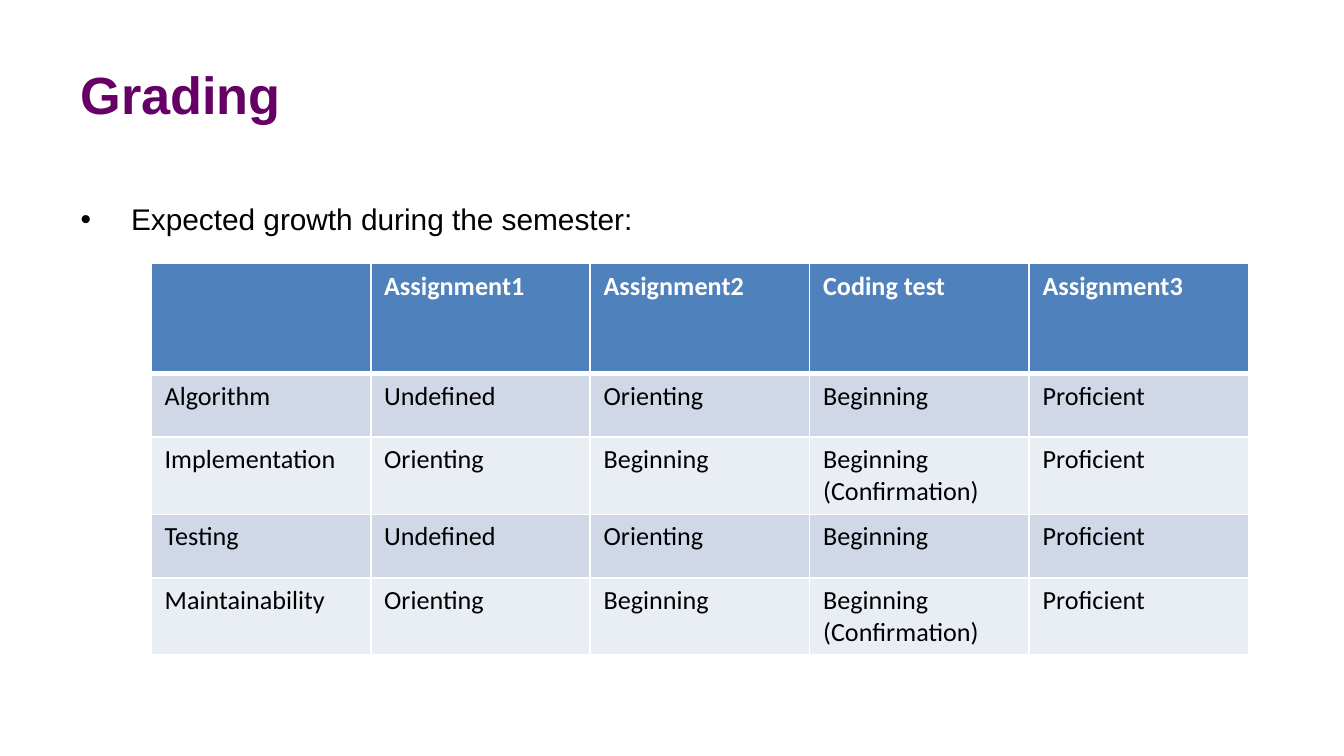
from lxml.etree import SubElement
from pptx import Presentation
from pptx.dml.color import RGBColor
from pptx.enum.text import MSO_ANCHOR, MSO_AUTO_SIZE, PP_ALIGN
from pptx.oxml.ns import qn
from pptx.util import Pt

COLORS = {
    "title": "660066",
    "text": "000000",
    "white": "FFFFFF",
    "header": "4F81BD",
    "odd": "D0D8E8",
    "even": "E9EDF4",
}
GRADES = [
    ["", "Assignment1", "Assignment2", "Coding test", "Assignment3"],
    ["Algorithm", "Undefined", "Orienting", "Beginning", "Proficient"],
    ["Implementation", "Orienting", "Beginning", "Beginning (Confirmation)", "Proficient"],
    ["Testing", "Undefined", "Orienting", "Beginning", "Proficient"],
    ["Maintainability", "Orienting", "Beginning", "Beginning (Confirmation)", "Proficient"],
]
HEADER_HEIGHT = 59


def place(placeholder, box):
    """Move a placeholder into a box of left, top, width and height."""
    placeholder.left, placeholder.top, placeholder.width, placeholder.height = map(Pt, box)
    placeholder.text_frame.auto_size = MSO_AUTO_SIZE.NONE


def style(paragraph, face, size, color, bold=False):
    """Set the font of a paragraph."""
    font = paragraph.font
    font.name, font.size, font.bold = face, Pt(size), bold
    font.color.rgb = RGBColor.from_string(COLORS[color])


def add_title(slide, box, wording):
    """Fill the title placeholder."""
    title = slide.shapes.title
    place(title, box)
    title.text_frame.text = wording
    title.text_frame.vertical_anchor = MSO_ANCHOR.MIDDLE
    heading = title.text_frame.paragraphs[0]
    heading.alignment = PP_ALIGN.LEFT
    style(heading, "Arial", 28, "title", True)


def add_body(slide, box, wording):
    """Fill the body placeholder with one bulleted line."""
    body = slide.placeholders[1]
    place(body, box)
    body.text_frame.text = wording
    bullet = body.text_frame.paragraphs[0]
    bullet.line_spacing = 1.5
    bullet.space_before = Pt(3.2)
    style(bullet, "Arial", 16, "text")


def add_borders(cell, top, bottom):
    """Draw white cell borders with the given top and bottom widths."""
    properties = cell._tc.get_or_add_tcPr()
    for side, width in (("L", 1), ("R", 1), ("T", top), ("B", bottom)):
        line = SubElement(properties, qn(f"a:ln{side}"), w=str(Pt(width)))
        fill = SubElement(line, qn("a:solidFill"))
        SubElement(fill, qn("a:srgbClr"), val=COLORS["white"])


def add_grades(slide, box, rows):
    """Add the table of expected levels with a taller header row."""
    left, top, width, height = box
    grades = slide.shapes.add_table(
        len(rows), len(rows[0]), Pt(left), Pt(top), Pt(width), Pt(height)
    ).table
    for column in grades.columns:
        column.width = Pt(width / len(rows[0]))
    row_height = (height - HEADER_HEIGHT) / (len(rows) - 1)
    for index, levels in enumerate(rows):
        is_header = index == 0
        grades.rows[index].height = Pt(HEADER_HEIGHT if is_header else row_height)
        band = "header" if is_header else "odd" if index % 2 else "even"
        for column, level in enumerate(levels):
            cell = grades.cell(index, column)
            add_borders(cell, 3 if index == 1 else 1, 3 if is_header else 1)
            cell.fill.solid()
            cell.fill.fore_color.rgb = RGBColor.from_string(COLORS[band])
            cell.text = level
            style(cell.text_frame.paragraphs[0], "Calibri", 14,
                  "white" if is_header else "text", is_header)


def main():
    """Build and save the grading slide."""
    presentation = Presentation()
    presentation.slide_width, presentation.slide_height = Pt(720), Pt(405)
    slide = presentation.slides.add_slide(presentation.slide_layouts[1])
    add_title(slide, (36, 16.5, 648, 67.5), "Grading")
    add_body(slide, (36, 94.5, 648, 265.5), "Expected growth during the semester:")
    add_grades(slide, (81, 141.25, 588, 195), GRADES)
    presentation.save("out.pptx")


if __name__ == "__main__":
    main()
